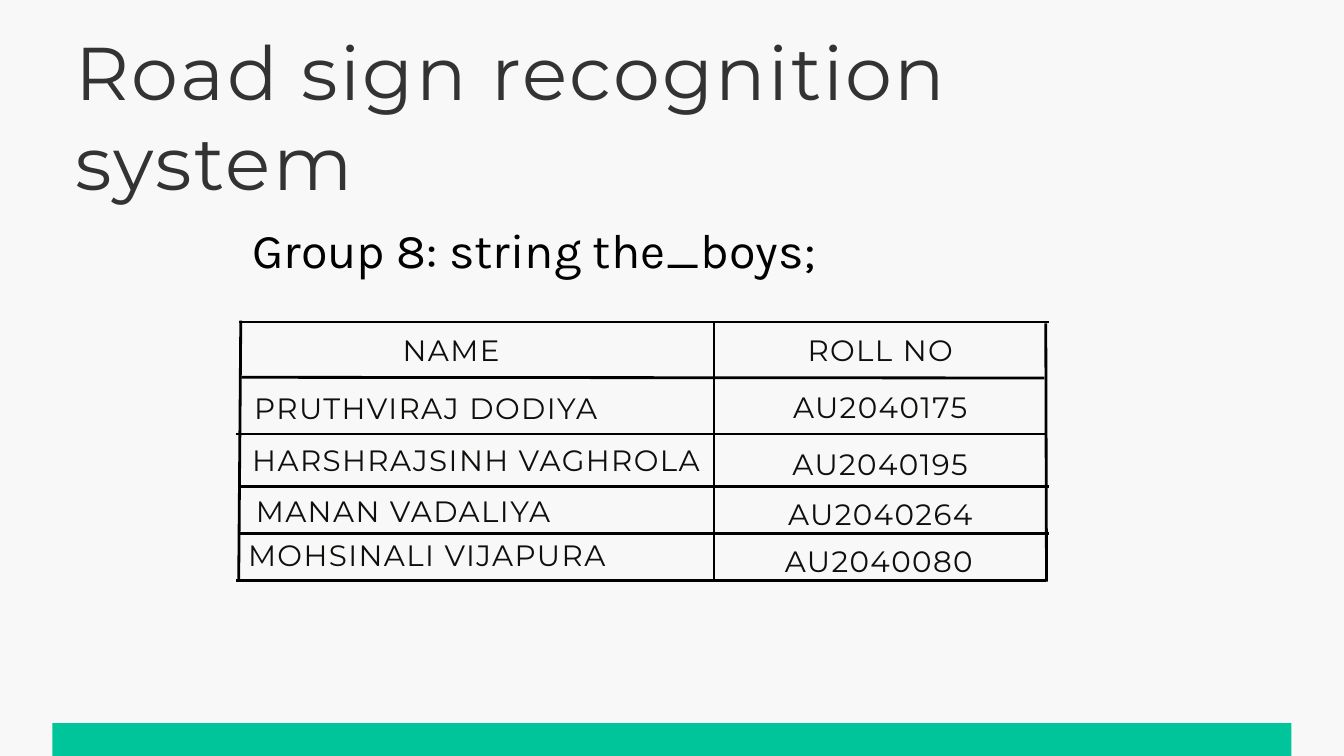
from dataclasses import dataclass

import pptx
import pptx.dml.color
import pptx.enum.shapes
import pptx.enum.text
import pptx.oxml.ns
import pptx.util
from lxml import etree

EMU_PER_PX = 9525


@dataclass(frozen=True)
class TextStyle:
    font: str
    size: float
    line_height: float
    color: str
    spacing: float = 0
    centered: bool = True


@dataclass(frozen=True)
class Theme:
    background: str = "F8F8F8"
    accent: str = "00C49A"
    rule: str = "000000"
    rule_width: float = 3
    title: TextStyle = TextStyle("Montserrat", 80, 96, "333333", 2.5, False)
    subtitle: TextStyle = TextStyle("Karla", 52, 72.8, "000000")
    cell: TextStyle = TextStyle("Montserrat", 31.5, 34.6, "100F0D", 1.6)


@dataclass(frozen=True)
class Label:
    text: str
    left: int
    top: int
    width: int
    height: int = 46


@dataclass(frozen=True)
class Rule:
    x1: int
    y1: int
    x2: int
    y2: int


THEME = Theme()
TITLE = Label("Road sign recognition system", 108, 37, 1328, 257)
SUBTITLE = Label("Group 8: string the_boys;", 335, 301, 857, 93)
ROLL_LEFT, ROLL_WIDTH = 1054, 407

CELLS = [
    Label("NAME", 441, 478, 407),
    Label("PRUTHVIRAJ DODIYA", 326, 562, 565),
    Label("HARSHRAJSINH VAGHROLA", 341, 636, 679),
    Label("MANAN VADALIYA", 346, 708, 460),
    Label("MOHSINALI VIJAPURA", 346, 771, 528),
    Label("ROLL NO", ROLL_LEFT, 478, ROLL_WIDTH),
    Label("AU2040175", ROLL_LEFT, 560, ROLL_WIDTH),
    Label("AU2040195", ROLL_LEFT, 641, ROLL_WIDTH),
    Label("AU2040264", ROLL_LEFT, 713, ROLL_WIDTH),
    Label("AU2040080", ROLL_LEFT - 2, 780, ROLL_WIDTH),
]

# The table is ruled by hand: its lines overshoot and lean a little.
ROW_RULES = [
    Rule(341, 460, 1499, 460),
    Rule(345, 539, 1492, 540),
    Rule(337, 620, 1495, 620),
    Rule(341, 695, 1499, 695),
    Rule(340, 762, 1498, 762),
    Rule(337, 829, 1495, 829),
]
COLUMN_RULES = [
    Rule(344, 458, 341, 831),
    Rule(1020, 460, 1020, 831),
    Rule(1494, 462, 1495, 831),
]


def px(*lengths: int) -> list[pptx.util.Emu]:
    """Turn pixel lengths into EMU."""
    return [pptx.util.Emu(length * EMU_PER_PX) for length in lengths]


def rgb(value: str) -> pptx.dml.color.RGBColor:
    return pptx.dml.color.RGBColor.from_string(value)


def add_label(slide: pptx.slide.Slide, label: Label, style: TextStyle) -> None:
    box = slide.shapes.add_textbox(*px(label.left, label.top, label.width, label.height))
    frame = box.text_frame
    frame.margin_left = frame.margin_right = frame.margin_top = frame.margin_bottom = 0
    frame.word_wrap = True
    frame.auto_size = pptx.enum.text.MSO_AUTO_SIZE.SHAPE_TO_FIT_TEXT
    frame.text = label.text
    paragraph = frame.paragraphs[0]
    paragraph.line_spacing = pptx.util.Pt(style.line_height)
    alignment = pptx.enum.text.PP_ALIGN
    paragraph.alignment = alignment.CENTER if style.centered else alignment.LEFT
    font = paragraph.runs[0].font
    font.name = style.font
    font.size = pptx.util.Pt(style.size)
    font.color.rgb = rgb(style.color)
    if style.spacing:
        paragraph.runs[0]._r.get_or_add_rPr().set("spc", str(round(style.spacing * 100)))


def add_rule(slide: pptx.slide.Slide, rule: Rule) -> None:
    connector = slide.shapes.add_connector(
        pptx.enum.shapes.MSO_CONNECTOR.STRAIGHT, *px(rule.x1, rule.y1, rule.x2, rule.y2)
    )
    connector.line.color.rgb = rgb(THEME.rule)
    connector.line.width = pptx.util.Pt(THEME.rule_width)
    etree.SubElement(connector._element.spPr, pptx.oxml.ns.qn("a:effectLst"))


def add_footer_bar(slide: pptx.slide.Slide) -> None:
    shape = slide.shapes.add_shape(
        pptx.enum.shapes.MSO_SHAPE.RECTANGLE, *px(75, 1033, 1770, 47)
    )
    shape.shadow.inherit = False
    shape.fill.solid()
    shape.fill.fore_color.rgb = rgb(THEME.accent)
    shape.line.fill.background()


def main() -> None:
    presentation = pptx.Presentation()
    presentation.slide_width, presentation.slide_height = px(1920, 1080)
    slide = presentation.slides.add_slide(presentation.slide_layouts[6])
    slide.background.fill.solid()
    slide.background.fill.fore_color.rgb = rgb(THEME.background)

    add_footer_bar(slide)
    add_label(slide, TITLE, THEME.title)
    add_label(slide, SUBTITLE, THEME.subtitle)
    for rule in ROW_RULES + COLUMN_RULES:
        add_rule(slide, rule)
    for cell in CELLS:
        add_label(slide, cell, THEME.cell)

    presentation.save("out.pptx")


if __name__ == "__main__":
    main()
